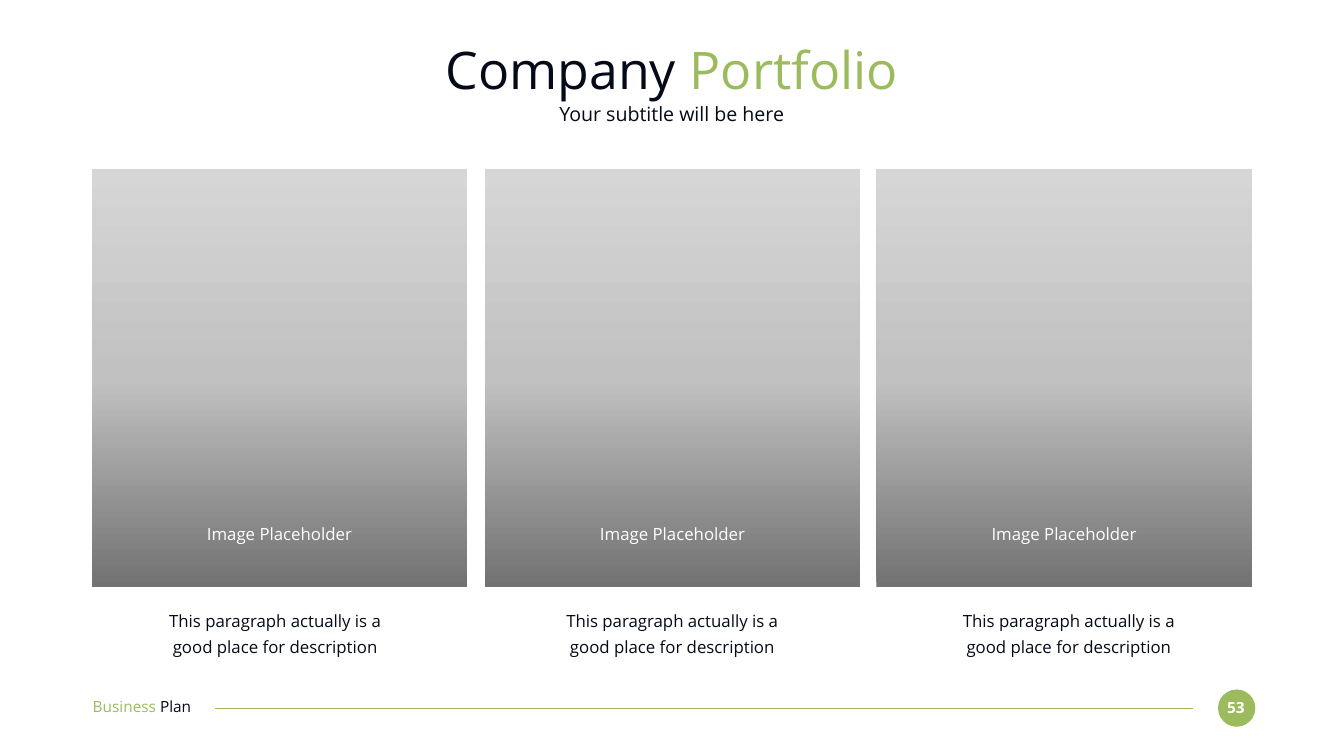
"""Build the company portfolio slide with three image cards."""
from copy import deepcopy
from dataclasses import dataclass

from pptx import Presentation
from pptx.dml.color import RGBColor
from pptx.enum.shapes import MSO_CONNECTOR, MSO_SHAPE
from pptx.enum.text import MSO_ANCHOR, MSO_AUTO_SIZE, PP_ALIGN
from pptx.oxml.ns import qn
from pptx.oxml.xmlchemy import OxmlElement
from pptx.util import Emu, Pt

RECTANGLE, OVAL = MSO_SHAPE.RECTANGLE, MSO_SHAPE.OVAL
STRAIGHT = MSO_CONNECTOR.STRAIGHT
TOP, MIDDLE = MSO_ANCHOR.TOP, MSO_ANCHOR.MIDDLE
LEFT, CENTER = PP_ALIGN.LEFT, PP_ALIGN.CENTER
NO_AUTOFIT = MSO_AUTO_SIZE.NONE

EMU_PER_PX = 9144
FONT = "Open Sans"
GREEN, INK, WHITE = "9CBB5D", "050A19", "FFFFFF"
CARD_GRADIENT = ((0, "727272"), (0.5, "C1C1C1"), (1, "D6D6D6"))


@dataclass(frozen=True)
class Box:
    left: int
    top: int
    width: int
    height: int

    def emu(self) -> list[Emu]:
        return [px(n) for n in (self.left, self.top, self.width, self.height)]


@dataclass(frozen=True)
class Span:
    text: str
    color: str = INK
    bold: bool = False


@dataclass(frozen=True)
class Card:
    image_left: int
    description_left: int
    label: str = "Image Placeholder"
    description: str = "This paragraph actually is a good place for description"


CARDS = (Card(182, 301), Card(962, 1089), Card(1739, 1876))


def px(length: int) -> Emu:
    return Emu(length * EMU_PER_PX)


def rgb(color: str) -> RGBColor:
    return RGBColor.from_string(color)


def write(frame, spans: list[Span], size: int, align=CENTER, anchor=TOP, spacing: float = 1.0) -> None:
    frame.margin_left = frame.margin_top = frame.margin_right = frame.margin_bottom = 0
    frame.auto_size = NO_AUTOFIT
    frame.word_wrap = True
    frame.vertical_anchor = anchor
    paragraph = frame.paragraphs[0]
    paragraph.alignment = align
    paragraph.line_spacing = spacing
    for span in spans:
        run = paragraph.add_run()
        run.text = span.text
        run.font.name = FONT
        run.font.size = Pt(size)
        run.font.bold = span.bold
        run.font.color.rgb = rgb(span.color)


def add_text(slide, box: Box, spans: list[Span], size: int, align=CENTER, spacing: float = 1.0) -> None:
    frame = slide.shapes.add_textbox(*box.emu()).text_frame
    write(frame, spans, size, align, spacing=spacing)


def add_plain_shape(slide, kind, box: Box):
    shape = slide.shapes.add_shape(kind, *box.emu())
    shape.shadow.inherit = False
    shape.line.fill.background()
    return shape


def fill_gradient(shape, stops: tuple) -> None:
    shape.fill.gradient()
    shape.fill.gradient_angle = 90
    stop_list = next(shape._element.spPr.iter(qn("a:gsLst")))
    while len(stop_list) < len(stops):
        stop_list.append(deepcopy(stop_list[0]))
    for stop, (position, color) in zip(shape.fill.gradient_stops, stops):
        stop.position = position
        stop.color.rgb = rgb(color)


def add_card(slide, card: Card) -> None:
    image = add_plain_shape(slide, RECTANGLE, Box(card.image_left, 336, 745, 829))
    fill_gradient(image, CARD_GRADIENT)
    add_text(slide, Box(card.image_left + 87, 1040, 571, 40), [Span(card.label, WHITE)], 24)
    add_text(slide, Box(card.description_left, 1199, 490, 101), [Span(card.description)], 24, spacing=1.3)


def add_footer(slide) -> None:
    badge = add_plain_shape(slide, OVAL, Box(2417, 1368, 74, 74))
    badge.fill.solid()
    badge.fill.fore_color.rgb = rgb(GREEN)
    add_text(slide, Box(2423, 1385, 59, 37), [Span("53", WHITE, True)], 22)
    rule = slide.shapes.add_connector(STRAIGHT, px(2367), px(1405), px(427), px(1405))
    rule.line.color.rgb = rgb(GREEN)
    rule.line.width = Pt(1.5)
    rule._element.spPr.append(OxmlElement("a:effectLst"))
    add_text(slide, Box(184, 1384, 259, 37), [Span("Business ", GREEN), Span("Plan")], 22, LEFT)


def add_heading(slide) -> None:
    title = slide.shapes.title
    title.left, title.top, title.width, title.height = Box(183, 73, 2300, 127).emu()
    write(title.text_frame, [Span("Company "), Span("Portfolio", GREEN)], 74, anchor=MIDDLE)
    add_text(slide, Box(183, 203, 2300, 49), [Span("Your subtitle will be here")], 28)


def main() -> None:
    deck = Presentation()
    deck.slide_width, deck.slide_height = px(2667), px(1500)
    slide = deck.slides.add_slide(deck.slide_layouts.get_by_name("Title Only"))
    add_footer(slide)
    add_heading(slide)
    for card in CARDS:
        add_card(slide, card)
    deck.save("out.pptx")


if __name__ == "__main__":
    main()
